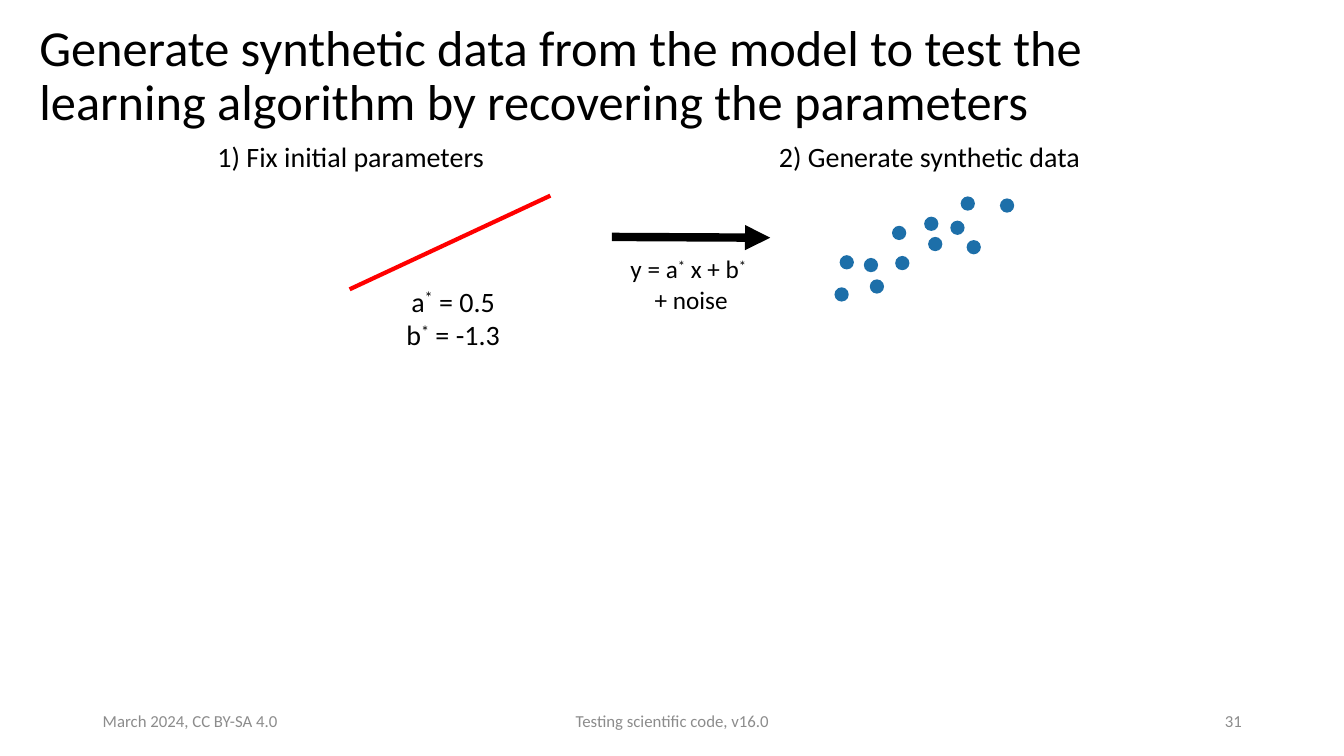
import lxml.etree
import pptx
import pptx.dml.color
import pptx.enum.shapes
import pptx.enum.text
import pptx.oxml.ns
import pptx.util

Cm = pptx.util.Cm
ALIGN = pptx.enum.text.PP_ALIGN
ANCHOR = pptx.enum.text.MSO_ANCHOR
AUTO_SIZE = pptx.enum.text.MSO_AUTO_SIZE


def color(hex_string):
    return pptx.dml.color.RGBColor.from_string(hex_string)


def add_run(paragraph, text, superscript=False):
    run = paragraph.add_run()
    run.text = text
    if superscript:
        run._r.get_or_add_rPr().set("baseline", "30000")


def write(frame, text, *, font, size, fill, align=ALIGN.LEFT,
          anchor=ANCHOR.TOP, spacing=None):
    frame.word_wrap = True
    frame.auto_size = AUTO_SIZE.NONE
    frame.vertical_anchor = anchor
    for number, content in enumerate(text.split("\n")):
        paragraph = frame.add_paragraph() if number else frame.paragraphs[0]
        paragraph.alignment = align
        paragraph.line_spacing = spacing
        for line_number, line in enumerate(content.split("\v")):
            if line_number:
                paragraph.add_line_break()
            for piece_number, piece in enumerate(line.split("*")):
                if piece_number:
                    add_run(paragraph, "*", superscript=True)
                if piece:
                    add_run(paragraph, piece)
        for run in paragraph.runs:
            run.font.name = font
            run.font.size = pptx.util.Pt(size)
            run.font.color.rgb = color(fill)


class SlideBuilder:
    font = "Calibri"
    ink = "000000"
    muted = "8C8C8C"
    model = "FF0000"
    data = "1D6FA9"

    def __init__(self, presentation):
        self.slide = presentation.slides.add_slide(presentation.slide_layouts[5])

    def title(self, text, left, top, width, height):
        shape = self.slide.shapes.title
        shape.left, shape.top = Cm(left), Cm(top)
        shape.width, shape.height = Cm(width), Cm(height)
        write(shape.text_frame, text, font=self.font, size=36, fill=self.ink,
              anchor=ANCHOR.MIDDLE, spacing=0.9)

    def text(self, text, left, top, width, height, size=20, fill=ink, **style):
        shape = self.slide.shapes.add_textbox(Cm(left), Cm(top), Cm(width), Cm(height))
        write(shape.text_frame, text, font=self.font, size=size, fill=fill, **style)

    def footer(self, text, left, width, align):
        self.text(text, left, 17.65, width, 1.02, size=12, fill=self.muted,
                  align=align, anchor=ANCHOR.MIDDLE)

    def line(self, start, end, fill, width, arrow=False):
        connector = self.slide.shapes.add_connector(
            pptx.enum.shapes.MSO_CONNECTOR.STRAIGHT,
            *(Cm(value) for value in start + end))
        connector.line.color.rgb = color(fill)
        connector.line.width = pptx.util.Pt(width)
        if arrow:
            head = lxml.etree.SubElement(connector.line._get_or_add_ln(),
                                         pptx.oxml.ns.qn("a:tailEnd"))
            head.set("type", "triangle")
        lxml.etree.SubElement(connector._element.spPr, pptx.oxml.ns.qn("a:effectLst"))

    def scatter(self, points, diameter):
        group = self.slide.shapes.add_group_shape()
        for left, top in points:
            dot = group.shapes.add_shape(pptx.enum.shapes.MSO_SHAPE.OVAL, Cm(left), Cm(top),
                                         Cm(diameter), Cm(diameter))
            dot.shadow.inherit = False
            dot.fill.solid()
            dot.fill.fore_color.rgb = color(self.data)
            dot.line.fill.background()


def main():
    presentation = pptx.Presentation()
    presentation.slide_width = Cm(33.87)
    presentation.slide_height = Cm(19.05)
    builder = SlideBuilder(presentation)

    builder.title("Generate synthetic data from the model to test the learning "
                  "algorithm by recovering the parameters", 0.74, 0.69, 30.81, 2.51)

    builder.text("1) Fix initial parameters", 5.23, 3.4, 7.65, 1.12)
    builder.line((8.81, 7.29), (13.87, 4.93), builder.model, 3)
    builder.text("a* = 0.5\nb* = -1.3", 9.25, 7.04, 4.34, 1.96, align=ALIGN.CENTER)

    builder.line((15.42, 5.97), (19.41, 5.99), builder.ink, 6, arrow=True)
    builder.text("y = a* x + b* \v+ noise", 14.55, 6.27, 5.74, 2.31, size=18,
                 align=ALIGN.CENTER)

    builder.text("2) Generate synthetic data", 19.38, 3.4, 8.74, 1.12)
    builder.scatter([(21.03, 7.24), (21.16, 6.43), (21.77, 6.5), (21.92, 7.04),
                     (22.56, 6.45), (22.48, 5.69), (23.39, 5.97), (23.29, 5.46),
                     (23.95, 5.56), (24.21, 4.95), (24.36, 6.05), (25.2, 5)], 0.36)

    builder.footer("March 2024, CC BY-SA 4.0", 2.34, 7.62, ALIGN.LEFT)
    builder.footer("Testing scientific code, v16.0", 11.23, 11.43, ALIGN.CENTER)
    builder.footer("31", 23.93, 7.62, ALIGN.RIGHT)
    presentation.save("out.pptx")


if __name__ == "__main__":
    main()
